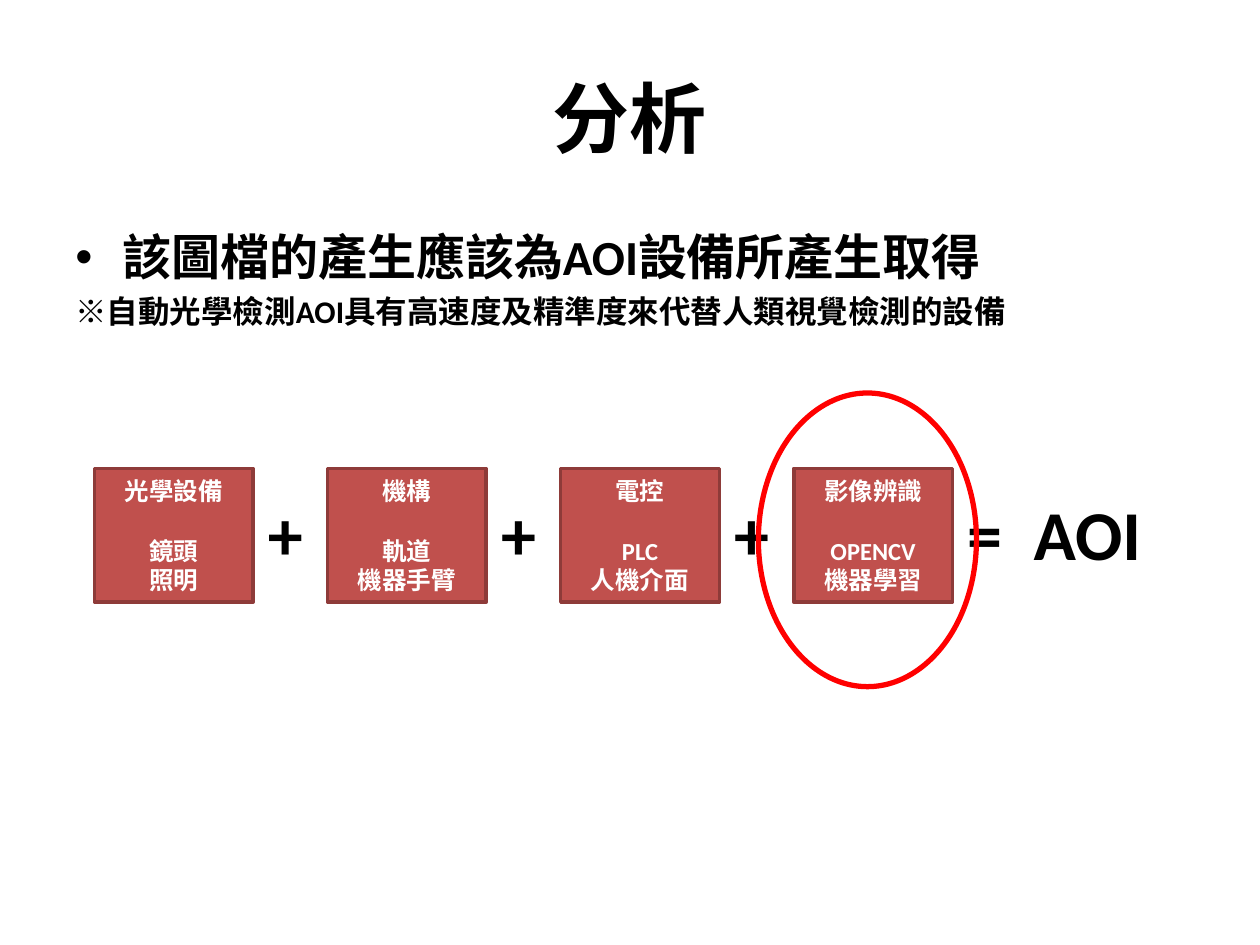
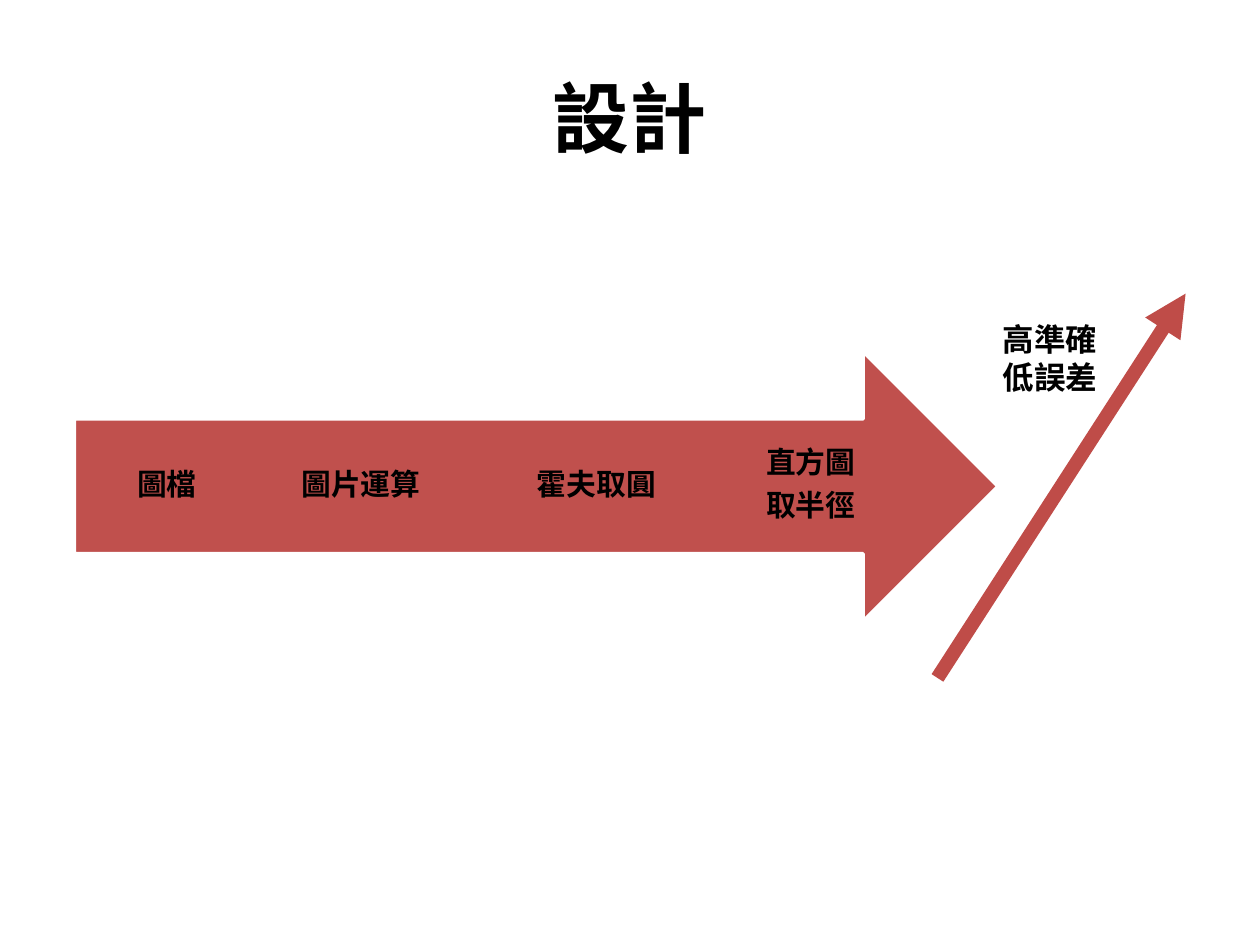
from lxml.etree import SubElement
from pptx import Presentation
from pptx.dml.color import RGBColor
from pptx.enum.shapes import MSO_CONNECTOR, MSO_SHAPE
from pptx.enum.text import MSO_ANCHOR, MSO_AUTO_SIZE, PP_ALIGN
from pptx.oxml.ns import qn
from pptx.util import Pt

FONT = "Calibri"
BLACK = "000000"
WHITE = "FFFFFF"
BRICK = "C0504D"
DARK_BRICK = "8E3B39"
ARROW_RED = "BF4C48"
RED = "FF0000"

COMPONENTS = [
    ("光學設備", "鏡頭", "照明"),
    ("機構", "軌道", "機器手臂"),
    ("電控", "PLC", "人機介面"),
    ("影像辨識", "OPENCV", "機器學習"),
]
SIGNS = ["+", "+", "+", "=\tAOI"]
STEPS = [
    (46.8, ["圖檔"]),
    (157.7, ["圖片運算"]),
    (292.3, ["霍夫取圓"]),
    (414.7, ["直方圖", "取半徑"]),
]


def color(value):
    """Turn a hex string into a colour."""
    return RGBColor.from_string(value)


def write_lines(shape, lines, size, ink=BLACK, align=PP_ALIGN.LEFT):
    """Write one bold paragraph per line and return the paragraphs."""
    frame = shape.text_frame
    frame.word_wrap = True
    for index, line in enumerate(lines):
        paragraph = frame.add_paragraph() if index else frame.paragraphs[0]
        paragraph.alignment = align
        run = paragraph.add_run()
        run.text = line
        run.font.name = FONT
        run.font.size = Pt(size)
        run.font.bold = True
        run.font.color.rgb = color(ink)
    return frame.paragraphs


def add_text(shapes, box, lines, size, **style):
    """Add a text box and return it."""
    text_box = shapes.add_textbox(*map(Pt, box))
    write_lines(text_box, lines, size, **style)
    return text_box


def add_label(shapes, box, lines, size):
    """Add a text box that grows with its text and return it."""
    label = add_text(shapes, box, lines, size)
    label.text_frame.auto_size = MSO_AUTO_SIZE.SHAPE_TO_FIT_TEXT
    return label


def add_figure(shapes, kind, box, line, width, fill=None):
    """Add an outlined preset shape and return it."""
    figure = shapes.add_shape(kind, *map(Pt, box))
    figure.shadow.inherit = False
    if fill:
        figure.fill.solid()
        figure.fill.fore_color.rgb = color(fill)
    else:
        figure.fill.background()
    figure.line.color.rgb = color(line)
    figure.line.width = Pt(width)
    return figure


def add_arrow(shapes, start, end, line, width):
    """Add a straight connector with a triangular tip."""
    arrow = shapes.add_connector(MSO_CONNECTOR.STRAIGHT, *map(Pt, start + end))
    arrow.line.color.rgb = color(line)
    arrow.line.width = Pt(width)
    SubElement(arrow.line._get_or_add_ln(), qn("a:tailEnd"), type="triangle")
    SubElement(arrow._element.spPr, qn("a:effectLst"))


def add_bullet(paragraph, indent):
    """Give a paragraph a hanging round bullet."""
    properties = paragraph._p.get_or_add_pPr()
    properties.set("marL", str(Pt(indent)))
    properties.set("indent", str(-Pt(indent)))
    SubElement(properties, qn("a:buFont"), typeface="Arial")
    SubElement(properties, qn("a:buChar"), char="•")


def add_tab_stop(paragraph, position):
    """Set a left tab stop on a paragraph."""
    tabs = SubElement(paragraph._p.get_or_add_pPr(), qn("a:tabLst"))
    SubElement(tabs, qn("a:tab"), pos=str(Pt(position)), algn="l")


def add_titled_slide(presentation, title):
    """Add a blank slide with a centred title and return it."""
    slide = presentation.slides.add_slide(presentation.slide_layouts[6])
    heading = add_text(slide.shapes, (36, 21.6, 648, 90), [title], 44, align=PP_ALIGN.CENTER)
    heading.text_frame.vertical_anchor = MSO_ANCHOR.MIDDLE
    return slide


def add_body(shapes):
    """Add the bulleted statement and its note."""
    body = add_text(shapes, (36, 126, 648, 356.4), ["該圖檔的產生應該為AOI設備所產生取得"], 28)
    statement = body.text_frame.paragraphs[0]
    statement.space_before = Pt(5.6)
    add_bullet(statement, 27)
    note = body.text_frame.add_paragraph()
    note.space_before = Pt(3.6)
    run = note.add_run()
    run.text = "※自動光學檢測AOI具有高速度及精準度來代替人類視覺檢測的設備"
    run.font.name = FONT
    run.font.size = Pt(18)
    run.font.bold = True
    run.font.color.rgb = color(BLACK)


def add_component(shapes, left, lines):
    """Add one component box with its heading set apart from its parts."""
    box = (left, 267.8, 90.7, 76.3)
    component = add_figure(shapes, MSO_SHAPE.RECTANGLE, box, DARK_BRICK, 2, BRICK)
    component.text_frame.vertical_anchor = MSO_ANCHOR.MIDDLE
    paragraphs = write_lines(component, lines, 14, ink=WHITE, align=PP_ALIGN.CENTER)
    paragraphs[1].space_before = Pt(17)


def add_step(shapes, left, lines):
    """Add one step name inside the process arrow."""
    step = add_text(shapes, (left, 239, 97.2, 77), lines, 17, align=PP_ALIGN.CENTER)
    frame = step.text_frame
    frame.vertical_anchor = MSO_ANCHOR.MIDDLE
    frame.margin_left = frame.margin_right = 0
    frame.margin_top = frame.margin_bottom = Pt(13.7)
    for paragraph in frame.paragraphs:
        paragraph.line_spacing = 0.9
        paragraph.space_after = Pt(5.95)


def build_analysis(presentation):
    """Build the slide that sums the parts of AOI."""
    shapes = add_titled_slide(presentation, "分析").shapes
    add_body(shapes)
    lefts = [54 + 133.2 * index for index in range(len(COMPONENTS))]
    for left, lines in zip(lefts, COMPONENTS):
        add_component(shapes, left, lines)
    for left, sign in zip(lefts, SIGNS):
        width = 149 if "\t" in sign else 39.6
        label = add_label(shapes, (left + 92, 276.5, width, 55.4), [sign], 40)
        if "\t" in sign:
            add_tab_stop(label.text_frame.paragraphs[0], 38)
    add_figure(shapes, MSO_SHAPE.OVAL, (433.4, 224.6, 124.6, 167.8), RED, 3)


def build_design(presentation):
    """Build the slide with the process arrow and its goal."""
    shapes = add_titled_slide(presentation, "設計").shapes
    process = shapes.add_group_shape().shapes
    add_figure(process, MSO_SHAPE.RIGHT_ARROW, (42.5, 200.9, 527.8, 154.1), WHITE, 2, BRICK)
    for left, lines in STEPS:
        add_step(process, left, lines)
    add_arrow(shapes, (535.7, 387.4), (677.5, 167.8), ARROW_RED, 8)
    add_label(shapes, (565.9, 179.3, 108, 51.1), ["高準確", "低誤差"], 18)


def main():
    """Build and save the presentation."""
    presentation = Presentation()
    presentation.slide_width = Pt(720)
    presentation.slide_height = Pt(540)
    build_analysis(presentation)
    build_design(presentation)
    presentation.save("out.pptx")


if __name__ == "__main__":
    main()
